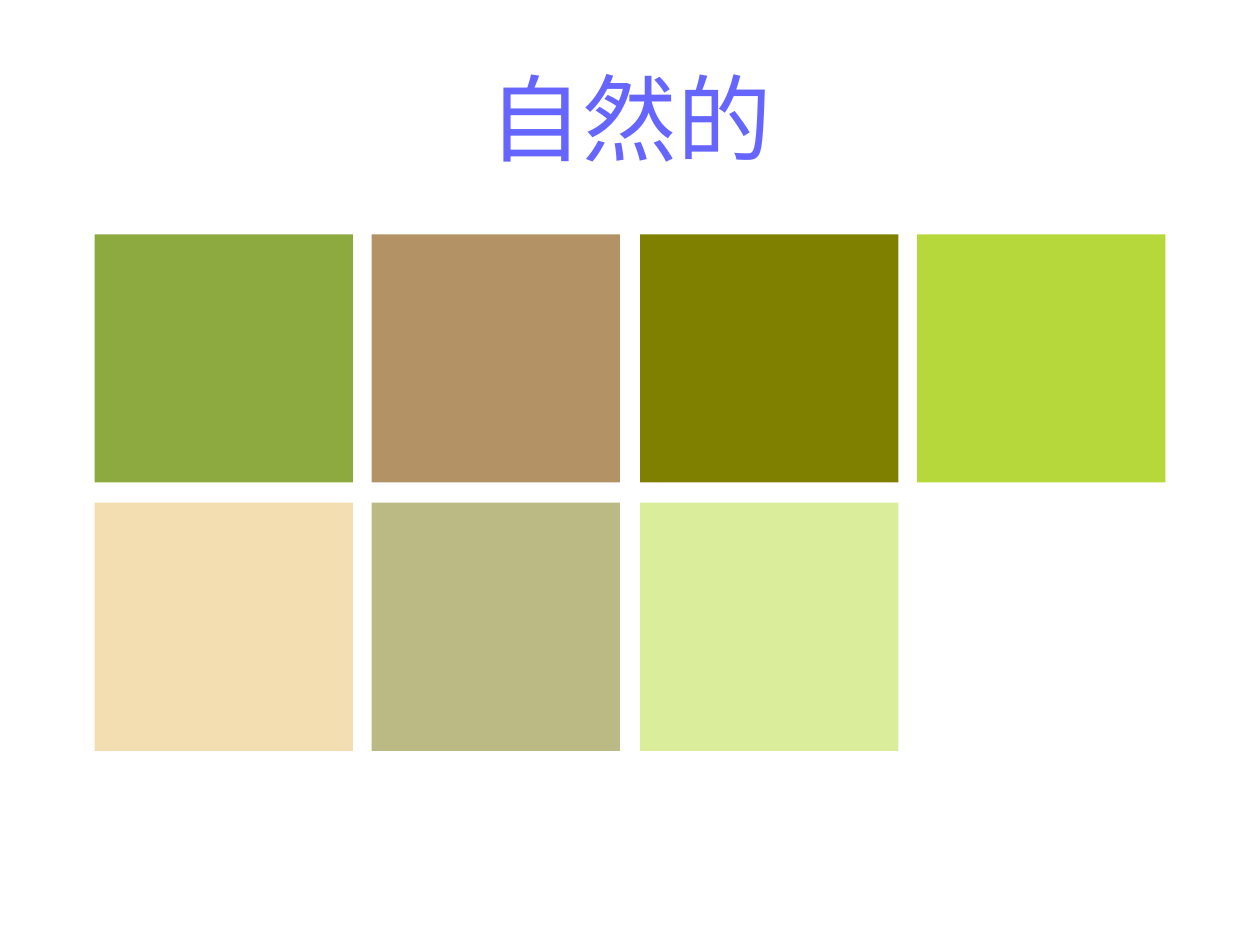
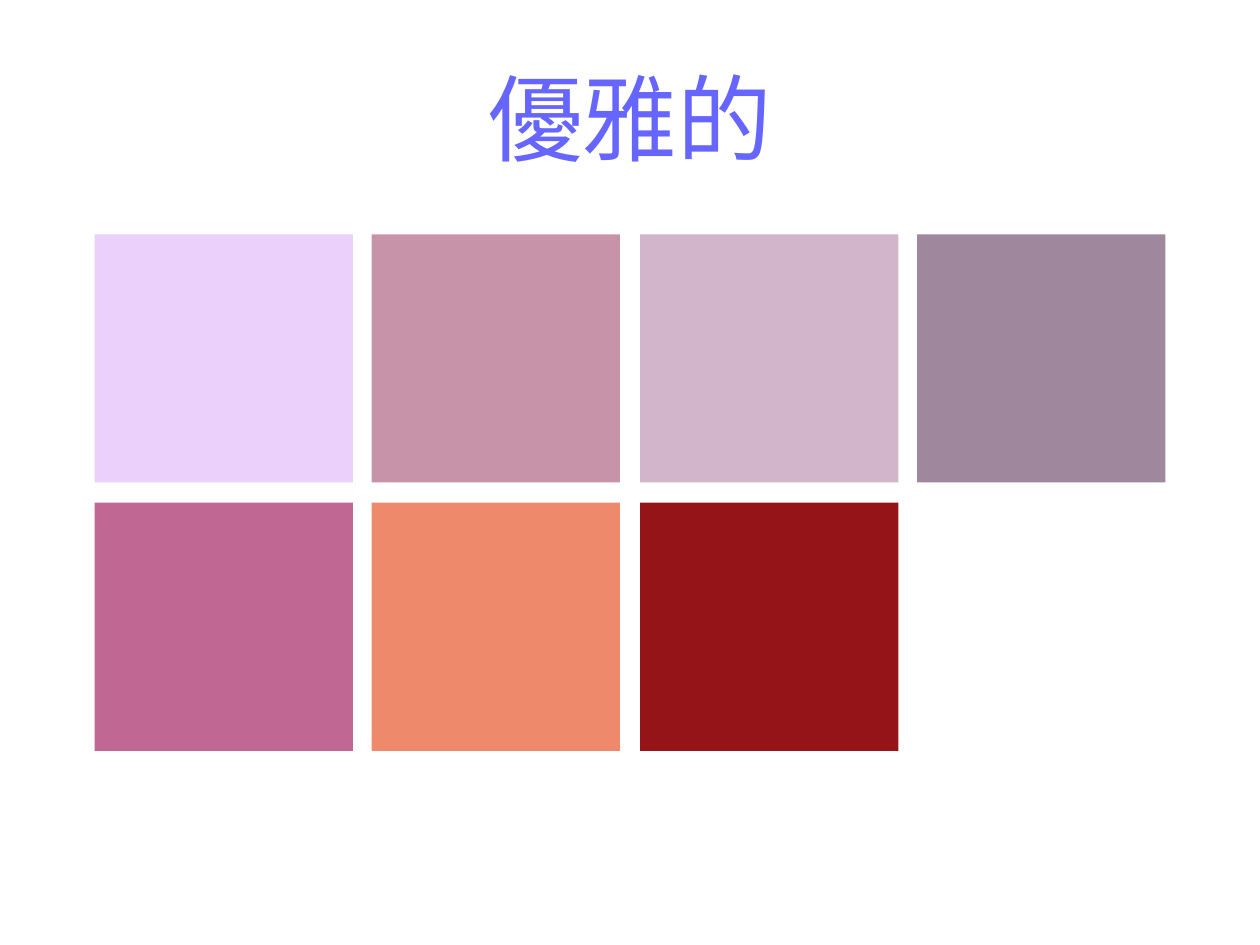
from pptx import Presentation
from pptx.dml.color import RGBColor
from pptx.enum.shapes import MSO_SHAPE as Preset
from pptx.enum.text import MSO_ANCHOR as Anchor, PP_ALIGN as Align
from pptx.util import Inches, Pt

WHITE = RGBColor(0xFF, 0xFF, 0xFF)
TITLE_BLUE = RGBColor(0x66, 0x66, 0xFF)
NATURAL = [RGBColor.from_string(code) for code in (
    "8CAA40", "B39266", "808000", "B6D83A", "F3DEB2", "BBBA84", "DAED9A")]
ELEGANT = [RGBColor.from_string(code) for code in (
    "EBD0FC", "C793A8", "D2B5CB", "9F889E", "C16793", "EE896C", "941417")]
PALETTES = {"自然的": NATURAL, "優雅的": ELEGANT}

TITLE_BOX = (0.5, 0.3, 9, 1.25)
GRID_ORIGIN = (0.75, 1.86)
COLUMNS = 4
WIDE, NARROW = 2.05, 1.97
PAIR_PITCH, NARROW_OFFSET, ROW_PITCH = 4.33, 2.2, 2.13
TITLE_FONT = {"name": "Arial", "size": Pt(54)}
TITLE_FRAME = {"word_wrap": True, "vertical_anchor": Anchor.MIDDLE}


def set_values(target, values):
    """Set each named attribute of the target."""
    for name, value in values.items():
        setattr(target, name, value)


def add_title(slide, box, wording):
    """Write the palette's name centred in the box."""
    frame = slide.shapes.add_textbox(*map(Inches, box)).text_frame
    set_values(frame, TITLE_FRAME)
    heading = frame.paragraphs[0]
    heading.alignment = Align.CENTER
    run = heading.add_run()
    run.text = wording
    set_values(run.font, TITLE_FONT)
    run.font.color.rgb = TITLE_BLUE


def add_swatches(slide, origin, colours):
    """Lay the colours out in rows of alternating wide and narrow swatches."""
    left, top = origin
    for index, colour in enumerate(colours):
        row, column = divmod(index, COLUMNS)
        pair, narrow = divmod(column, 2)
        box = (left + pair * PAIR_PITCH + narrow * NARROW_OFFSET,
               top + row * ROW_PITCH, NARROW if narrow else WIDE, NARROW)
        swatch = slide.shapes.add_shape(Preset.RECTANGLE, *map(Inches, box))
        swatch.shadow.inherit = False
        swatch.fill.solid()
        swatch.fill.fore_color.rgb = colour
        swatch.line.fill.background()


def add_palette_slide(deck, wording, colours):
    """Add a white slide with a title above its swatches."""
    slide = deck.slides.add_slide(deck.slide_layouts[6])
    slide.background.fill.solid()
    slide.background.fill.fore_color.rgb = WHITE
    add_title(slide, TITLE_BOX, wording)
    add_swatches(slide, GRID_ORIGIN, colours)


def main():
    """Build and save the palette slides."""
    deck = Presentation()
    set_values(deck, {"slide_width": Inches(10), "slide_height": Inches(7.5)})
    for wording, colours in PALETTES.items():
        add_palette_slide(deck, wording, colours)
    deck.save("out.pptx")


if __name__ == "__main__":
    main()
